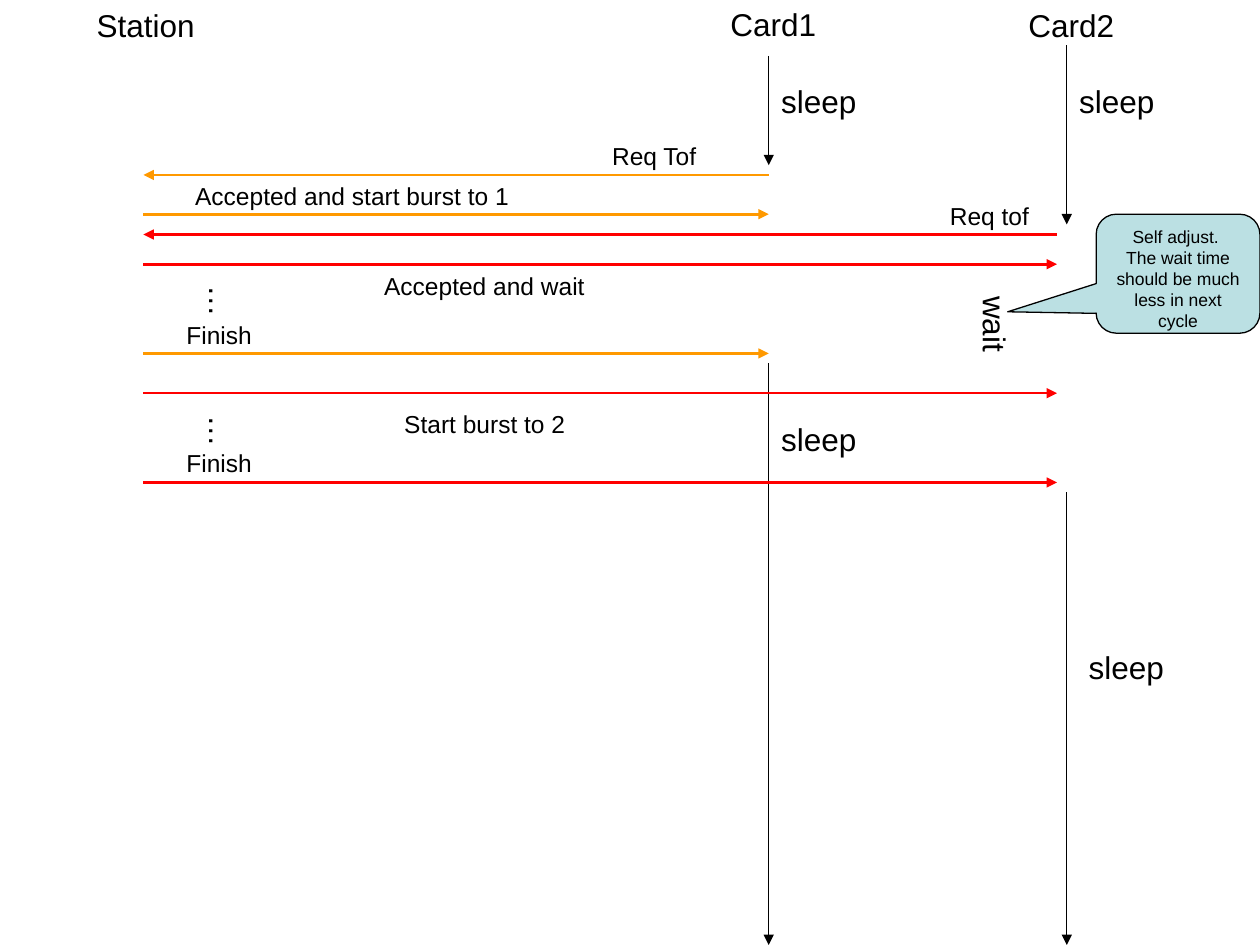
from pptx import Presentation
from pptx.dml.color import RGBColor
from pptx.enum.shapes import MSO_CONNECTOR, MSO_SHAPE
from pptx.enum.text import MSO_ANCHOR, MSO_AUTO_SIZE, PP_ALIGN
from pptx.oxml.ns import qn
from pptx.util import Pt
from lxml.etree import SubElement

BLACK, ORANGE, RED, PALE_BLUE = "000000", "FF9900", "FF0000", "BBE0E3"


def color(value):
    return RGBColor.from_string(value)


def add_span(para, text, size):
    span = para.add_run()
    span.text = text
    span.font.name = "Arial"
    span.font.size = Pt(size)
    span.font.color.rgb = color(BLACK)


def set_margins(frame, side, end):
    frame.margin_left = frame.margin_right = Pt(side)
    frame.margin_top = frame.margin_bottom = Pt(end)


def add_label(page, text, left, top, width, height, size, vertical=False, wrap=False):
    box = page.shapes.add_textbox(Pt(left), Pt(top), Pt(width), Pt(height))
    frame = box.text_frame
    frame.word_wrap = wrap
    frame.auto_size = MSO_AUTO_SIZE.SHAPE_TO_FIT_TEXT
    if vertical:
        set_margins(frame, 3.6, 7.2)
        box.element.txBody.find(qn("a:bodyPr")).set("vert", "eaVert")
    else:
        set_margins(frame, 7.2, 3.6)
    add_span(frame.paragraphs[0], text, size)


def add_arrow(page, start_x, start_y, end_x, end_y, line_color, weight):
    arrow = page.shapes.add_connector(
        MSO_CONNECTOR.STRAIGHT, Pt(start_x), Pt(start_y), Pt(end_x), Pt(end_y))
    arrow.line.color.rgb = color(line_color)
    arrow.line.width = Pt(weight)
    properties = arrow.element.spPr
    SubElement(properties.find(qn("a:ln")), qn("a:tailEnd"), type="triangle")
    SubElement(properties, qn("a:effectLst"))


def draw_card(page, left, top, name, sleeps):
    add_label(page, name, left - 29, top, 63.4, 28.8, 18)
    for start, end, label_x, label_y in sleeps:
        add_arrow(page, left, top + start, left, top + end, BLACK, 0.75)
        add_label(page, "sleep", left + label_x, top + label_y, 57.6, 28.8, 18)


def draw_messages(page, left, top, card1_x, card2_x):
    messages = [
        (0, card1_x, 0, ORANGE, "Req Tof", 260.7, -23, 64),
        (22.4, 0, card1_x, ORANGE, "Accepted and start burst to 1", 22.4, 0, 193.7),
        (34, card2_x, 0, RED, "Req tof", 453.7, 11.6, 59.8),
        (51, 0, card2_x, RED, "Accepted and wait", 130.4, 51.2, 128.9),
        (102, 0, card1_x, ORANGE, "Finish", 17.4, 79.3, 51.8),
        (124.7, 0, card2_x, RED, "Start burst to 2", 141.9, 130.4, 106.6),
        (175.7, 0, card2_x, RED, "Finish", 17.4, 152.7, 51.8),
    ]
    for y, start, end, line_color, text, text_x, text_y, width in messages:
        add_arrow(page, left + start, top + y, left + end, top + y, line_color, 1.5)
        add_label(page, text, left + text_x, top + text_y, width, 24.5, 14)
    for y in (56.2, 130.4):
        add_label(page, "…", left + 23.1, top + y, 36, 25.2, 18, vertical=True)
    add_label(page, "wait", left + 465.2, top + 62, 36, 51.1, 18, vertical=True, wrap=True)


def draw_callout(page, left, top, width, height):
    callout = page.shapes.add_shape(
        MSO_SHAPE.ROUNDED_RECTANGULAR_CALLOUT, Pt(left), Pt(top), Pt(width), Pt(height))
    for index, value in enumerate((-1.04, 0.32, 0.17)):
        callout.adjustments[index] = value
    callout.shadow.inherit = False
    callout.fill.solid()
    callout.fill.fore_color.rgb = color(PALE_BLUE)
    callout.line.color.rgb = color(BLACK)
    callout.line.width = Pt(0.75)
    frame = callout.text_frame
    frame.word_wrap = True
    frame.vertical_anchor = MSO_ANCHOR.TOP
    set_margins(frame, 7.2, 3.6)
    texts = ("Self adjust. ", "The wait time should be much less in next cycle")
    for index, text in enumerate(texts):
        para = frame.add_paragraph() if index else frame.paragraphs[0]
        para.alignment = PP_ALIGN.CENTER
        add_span(para, text, 10)


def main():
    deck = Presentation()
    deck.slide_width, deck.slide_height = Pt(720), Pt(540)
    page = deck.slides.add_slide(deck.slide_layouts[6])
    station_x, card1_x, card2_x = 82, 439.3, 609.6
    add_label(page, "Station", 48.2, 0, 70.6, 28.8, 18)
    draw_card(page, card1_x, -0.5, "Card1",
              [(32.4, 94.9, 0, 43.9), (208, 540.5, 0, 236.7)])
    draw_card(page, card2_x, 0, "Card2",
              [(26, 128.2, 0, 43.2), (281.4, 540, 5.4, 366.5)])
    draw_messages(page, station_x, 100, card1_x - station_x, 604 - station_x)
    draw_callout(page, 626.4, 122.4, 93.6, 68)
    deck.save("out.pptx")


if __name__ == "__main__":
    main()
